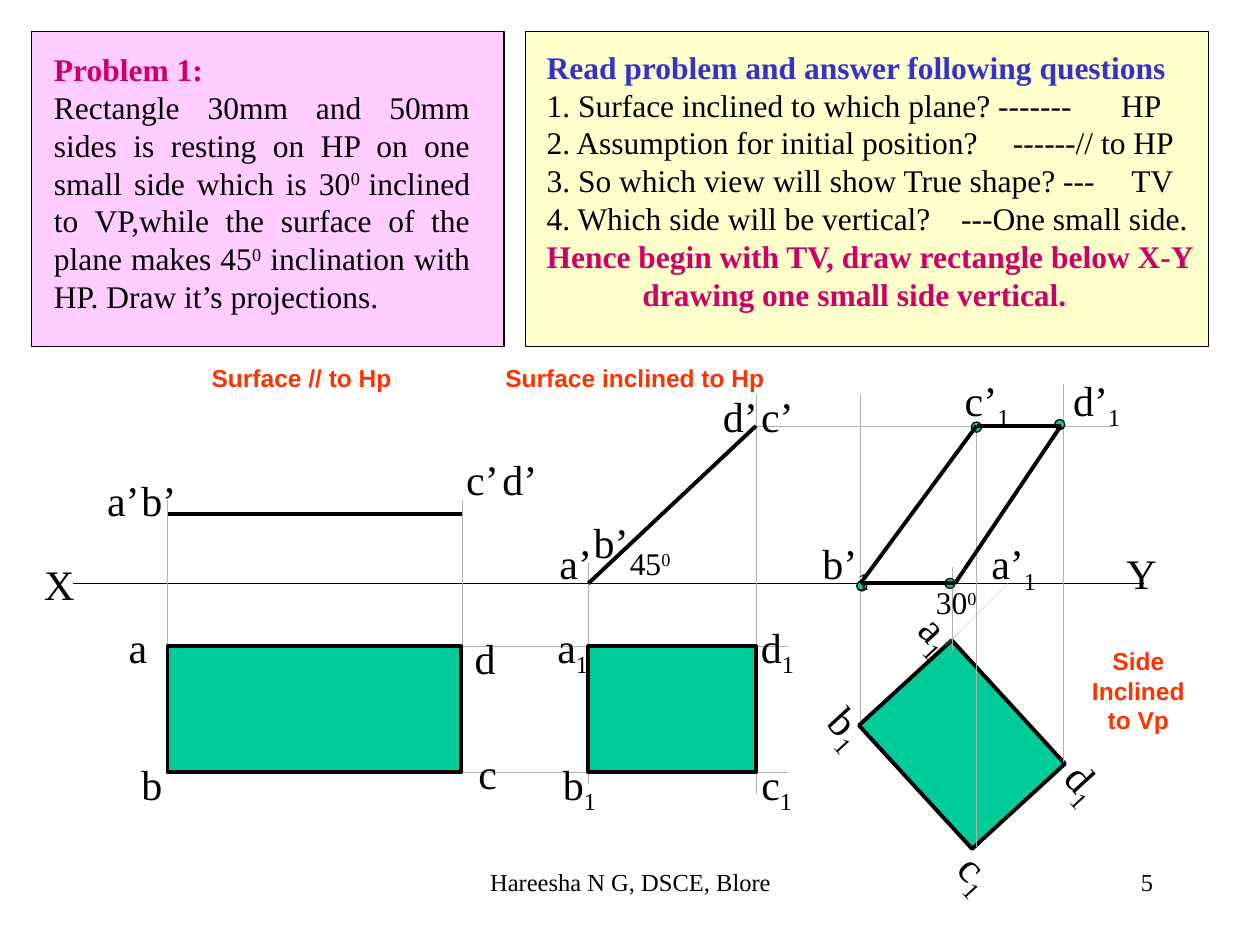
from dataclasses import dataclass

from lxml import etree
from pptx import Presentation
from pptx.dml.color import RGBColor
from pptx.enum.shapes import MSO_CONNECTOR, MSO_SHAPE
from pptx.enum.text import PP_ALIGN
from pptx.oxml.ns import qn
from pptx.util import Inches, Pt

RECTANGLE = MSO_SHAPE.RECTANGLE
OVAL = MSO_SHAPE.OVAL
STRAIGHT = MSO_CONNECTOR.STRAIGHT
LEFT, CENTER, RIGHT, JUSTIFY = PP_ALIGN.LEFT, PP_ALIGN.CENTER, PP_ALIGN.RIGHT, PP_ALIGN.JUSTIFY


@dataclass(frozen=True)
class Theme:
    serif: str = "Times New Roman"
    sans: str = "Arial"
    ink: str = "000000"
    projector: str = "B2B2B2"
    plane: str = "00CC99"
    pink: str = "FFCCFF"
    cream: str = "FFFFCC"
    magenta: str = "CC0066"
    blue: str = "3333CC"
    orange: str = "FF3300"
    label: int = 24
    body: int = 18
    caption: int = 14
    bold_line: float = 2.25
    thin_line: float = 0.75
    hair_line: float = 0.25
    subscript: int = -25000
    superscript: int = 30000


THEME = Theme()
XY = 4.63
TOP, BOTTOM = 5.13, 6.13
RAISED = 3.38
LEVEL = 4.08
DOT = 0.08

PROJECTORS = [
    (1.33, TOP, 1.33, 3.97), (3.67, TOP, 3.67, 3.97),
    (4.67, 4.47, 4.67, 6.22), (6, 3.13, 6, 6.3),
    (3.67, TOP, 6.25, TOP), (3.67, BOTTOM, 6.25, BOTTOM),
    (7.5, TOP, 8, XY), (6.83, 5.72, 6.83, 3.13),
    (7.75, 6.72, 7.75, RAISED), (8.44, 6.05, 8.44, 3.05),
    (6, RAISED, 8.83, RAISED), (7.56, 5.17, 7.56, 4.5),
]
EDGES = [
    (1.33, LEVEL, 3.67, LEVEL), (4.67, XY, 6, RAISED),
    (7.75, RAISED, 6.83, XY), (8.42, RAISED, 7.58, XY),
    (6.83, XY, 7.58, XY), (7.75, RAISED, 8.42, RAISED),
]
TILTED_PLANE = (6.97, 5.41, 1.33, 1)
TILT = 47.5
UPRIGHT_PLANES = [(1.33, TOP, 2.33, 1), (4.67, TOP, 1.33, 1)]
DOTS = [(6.8, 4.61), (7.5, 4.59), (7.71, 3.35), (8.37, 3.33)]
PLAIN_LABELS = [
    ("X", 0.25, 4.38, 0.44), ("Y", 8.84, 4.3, 0.44),
    ("a", 0.92, 4.88, 0.35), ("b", 0.83, 5.97, 0.75),
    ("c", 3.58, 5.88, 0.58), ("d", 3.67, 4.97, 0.36),
    ("a’", 0.75, 3.72, 0.46), ("b’", 1.02, 3.72, 0.48),
    ("c’", 3.58, 3.55, 0.5), ("d’", 3.75, 3.55, 0.75),
    ("a’", 4.34, 4.22, 0.46), ("b’", 4.61, 4.05, 0.48),
    ("d’", 5.5, 3.05, 0.75), ("c’", 5.92, 3.05, 0.5),
]
INDEXED_LABELS = [
    ("a", 4.17, 4.88, 0.75, 0), ("b", 4.37, 5.97, 0.46, 0),
    ("c", 5.83, 5.97, 0.67, 0), ("d", 5.17, 4.88, 2, 0),
    ("a", 7.17, 4.76, 0.52, TILT), ("b", 6.48, 5.5, 0.48, TILT),
    ("c", 7.41, 6.66, 0.67, TILT), ("d", 8.32, 5.94, 0.55, TILT),
    ("c’", 7.5, 2.92, 0.67, 0), ("d’", 8.33, 2.92, 0.75, 0),
    ("b’", 6.43, 4.22, 0.57, 0), ("a’", 7.67, 4.22, 0.75, 0),
]
ANGLES = [("45", 4.9, 4.27, 0.83), ("30", 7.33, 4.58, 0.67)]
CAPTIONS = [
    (["Surface // to Hp"], 1.58, 2.83, 1.63, 0.34),
    (["Surface inclined to Hp"], 3.91, 2.83, 2.26, 0.34),
    (["Side", "Inclined", "to Vp"], 8.57, 5.08, 0.93, 0.8),
]
PROBLEM = [
    ("Rectangle 30mm and 50mm sides is resting on HP on one small side which is 30", 0),
    ("0 ", THEME.superscript),
    ("inclined to VP,while the surface of the plane makes 45", 0),
    ("0", THEME.superscript),
    (" inclination with HP. Draw it’s projections.", 0),
]
QUESTIONS = [
    ("1. Surface inclined to which plane? -------", "HP", 4.56),
    ("2. Assumption for initial position?", "------// to HP", 3.7),
    ("3. So which view will show True shape? ---", "TV", 4.64),
    ("4. Which side will be vertical?", "---One small side.", 3.29),
]
CONCLUSION = [
    ("Hence begin with TV, draw rectangle below X-Y", 0),
    ("drawing one small side vertical.", 0.76),
]


def color(value):
    return RGBColor.from_string(value)


def add_line(shapes, ends, line_color, width):
    line = shapes.add_connector(STRAIGHT, *map(Inches, ends))
    line.line.color.rgb = color(line_color)
    line.line.width = Pt(width)
    etree.SubElement(line._element.spPr, qn("a:effectLst"))


def add_figure(shapes, kind, frame, fill, width, rotation=0):
    figure = shapes.add_shape(kind, *map(Inches, frame))
    figure.shadow.inherit = False
    figure.fill.solid()
    figure.fill.fore_color.rgb = color(fill)
    figure.line.color.rgb = color(THEME.ink)
    figure.line.width = Pt(width)
    figure.rotation = rotation


def add_box(shapes, frame, margin=0.1, rotation=0):
    box = shapes.add_textbox(*map(Inches, frame))
    box.rotation = rotation
    text_frame = box.text_frame
    text_frame.word_wrap = margin > 0
    text_frame.margin_left = text_frame.margin_right = Inches(margin)
    return text_frame


def style_paragraph(para, size, ink=THEME.ink, bold=False, align=LEFT, font=THEME.serif):
    para.alignment = align
    for span in para.runs:
        span.font.name = font
        span.font.size = Pt(size)
        span.font.bold = bold
        span.font.color.rgb = color(ink)


def add_spans(para, spans):
    for text, baseline in spans:
        span = para.add_run()
        span.text = text
        if baseline:
            span._r.get_or_add_rPr().set("baseline", str(baseline))


def add_label(shapes, spans, frame, size=THEME.label, align=CENTER, margin=0, rotation=0):
    para = add_box(shapes, frame, margin, rotation).paragraphs[0]
    add_spans(para, spans)
    style_paragraph(para, size, align=align)


def add_caption(shapes, lines, frame, ink=THEME.ink, align=CENTER, font=THEME.serif,
                bold=False, margin=0):
    text_frame = add_box(shapes, frame, margin)
    text_frame.text = "\n".join(lines)
    for para in text_frame.paragraphs:
        style_paragraph(para, THEME.caption, ink, bold, align, font)


def set_tab(para, position):
    tabs = etree.SubElement(para._p.get_or_add_pPr(), qn("a:tabLst"))
    etree.SubElement(tabs, qn("a:tab"), pos=str(Inches(position)), algn="l")


def add_problem(page):
    shapes = page.shapes.add_group_shape().shapes
    add_figure(shapes, RECTANGLE, (0.25, 0.25, 3.75, 2.5), THEME.pink, THEME.thin_line)
    text_frame = add_box(shapes, (0.33, 0.35, 3.5, 2.2))
    text_frame.text = "Problem 1:"
    style_paragraph(text_frame.paragraphs[0], THEME.body, THEME.magenta, True, JUSTIFY)
    para = text_frame.add_paragraph()
    add_spans(para, PROBLEM)
    style_paragraph(para, THEME.body, align=JUSTIFY)


def add_questions(page):
    shapes = page.shapes.add_group_shape().shapes
    add_figure(shapes, RECTANGLE, (4.17, 0.25, 5.42, 2.5), THEME.cream, THEME.thin_line)
    text_frame = add_box(shapes, (4.24, 0.33, 5.38, 2.2))
    text_frame.text = "Read problem and answer following questions"
    style_paragraph(text_frame.paragraphs[0], THEME.body, THEME.blue, True)
    for question, answer, position in QUESTIONS:
        para = text_frame.add_paragraph()
        para.text = f"{question}\t{answer}"
        style_paragraph(para, THEME.body)
        set_tab(para, position)
    for text, indent in CONCLUSION:
        para = text_frame.add_paragraph()
        para.text = text
        style_paragraph(para, THEME.body, THEME.magenta, True)
        para._p.get_or_add_pPr().set("marL", str(Inches(indent)))


def main():
    deck = Presentation()
    deck.slide_width, deck.slide_height = Inches(10), Inches(7.5)
    page = deck.slides.add_slide(deck.slide_layouts[6])
    shapes = page.shapes
    add_line(shapes, (0.58, XY, 9.08, XY), THEME.ink, THEME.thin_line)
    add_figure(shapes, RECTANGLE, TILTED_PLANE, THEME.plane, THEME.bold_line, TILT)
    for ends in PROJECTORS:
        add_line(shapes, ends, THEME.projector, THEME.hair_line)
    for frame in UPRIGHT_PLANES:
        add_figure(shapes, RECTANGLE, frame, THEME.plane, THEME.bold_line)
    for left, top in DOTS:
        add_figure(shapes, OVAL, (left, top, DOT, DOT), THEME.plane, THEME.thin_line)
    for ends in EDGES:
        add_line(shapes, ends, THEME.ink, THEME.bold_line)
    for text, left, top, width in PLAIN_LABELS:
        add_label(shapes, [(text, 0)], (left, top, width, 0.5))
    for text, left, top, width, rotation in INDEXED_LABELS:
        spans = [(text, 0), ("1", THEME.subscript)]
        add_label(shapes, spans, (left, top, width, 0.56), rotation=rotation)
    for text, left, top, width in ANGLES:
        spans = [(text, 0), ("0", THEME.superscript)]
        add_label(shapes, spans, (left, top, width, 0.4), THEME.body, LEFT, 0.1)
    add_problem(page)
    add_questions(page)
    for lines, *frame in CAPTIONS:
        add_caption(shapes, lines, frame, THEME.orange, font=THEME.sans, bold=True)
    add_caption(shapes, ["5"], (7.17, 6.83, 2.08, 0.5), align=RIGHT, margin=0.1)
    add_caption(shapes, ["Hareesha N G, DSCE, Blore"], (3.42, 6.83, 3.17, 0.5))
    deck.save("out.pptx")


if __name__ == "__main__":
    main()
